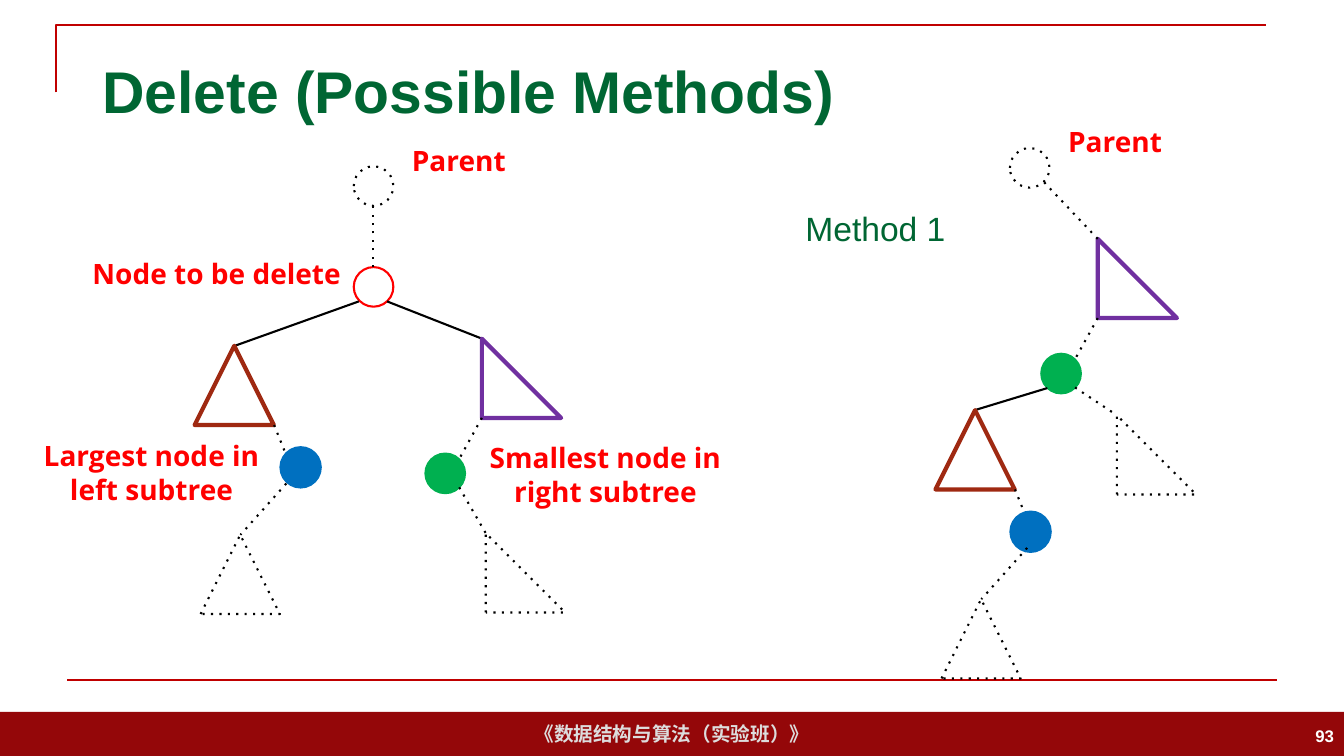
from dataclasses import dataclass

from pptx import Presentation
from pptx.dml.color import RGBColor
from pptx.enum.dml import MSO_LINE
from pptx.enum.shapes import MSO_CONNECTOR, MSO_SHAPE
from pptx.enum.text import MSO_ANCHOR, MSO_AUTO_SIZE, PP_ALIGN
from pptx.oxml import parse_xml
from pptx.oxml.ns import nsdecls, qn
from pptx.util import Pt

DOT = MSO_LINE.ROUND_DOT
STRAIGHT = MSO_CONNECTOR.STRAIGHT
RECT, OVAL = MSO_SHAPE.RECTANGLE, MSO_SHAPE.OVAL
CONE, WEDGE = MSO_SHAPE.ISOSCELES_TRIANGLE, MSO_SHAPE.RIGHT_TRIANGLE
TOP, MIDDLE = MSO_ANCHOR.TOP, MSO_ANCHOR.MIDDLE
GROW, FIXED = MSO_AUTO_SIZE.SHAPE_TO_FIT_TEXT, MSO_AUTO_SIZE.NONE
LEFT, CENTER, RIGHT = PP_ALIGN.LEFT, PP_ALIGN.CENTER, PP_ALIGN.RIGHT

HEX = {
    "bar": "940709", "rule": "C00000", "title": "006633", "foot": "DDDDDD",
    "red": "FF0000", "green": "00B050", "blue": "0070C0", "violet": "7030A0",
    "brown": "9F2911", "black": "000000", "white": "FFFFFF",
}
NODE = 28.3  # diameter of a node
TREE = 56.6  # side of a subtree triangle


@dataclass
class Style:
    line: str
    width: float = 1.5
    fill: str = ""
    dots: bool = False


@dataclass
class Label:
    text: str
    x: float
    y: float
    w: float
    h: float
    size: float = 20
    face: str = "Open Sans"
    color: str = "red"
    bold: bool = True
    align: PP_ALIGN = CENTER
    anchor: MSO_ANCHOR = TOP
    wrap: bool = True
    fit: MSO_AUTO_SIZE = GROW
    inset: bool = False


SOLID = Style("black")
GHOST = Style("black", dots=True)
DOOMED = Style("red")
GREEN = Style("green", fill="green")
BLUE = Style("blue", 2, "blue")
BROWN = Style("brown", 3)
VIOLET = Style("violet", 3)
RULE = Style("rule")

deck = Presentation()
deck.slide_width, deck.slide_height = Pt(960), Pt(540)
slide = deck.slides.add_slide(deck.slide_layouts[5])
shapes = slide.shapes


def rgb(name: str) -> RGBColor:
    return RGBColor.from_string(HEX[name])


def stroke(item, style: Style) -> None:
    item.line.color.rgb = rgb(style.line)
    item.line.width = Pt(style.width)
    if style.dots:
        item.line.dash_style = DOT
        item.element.find(".//" + qn("a:prstDash")).set("val", "dot")


def paint(item, style: Style) -> None:
    item.shadow.inherit = False
    if style.fill:
        item.fill.solid()
        item.fill.fore_color.rgb = rgb(style.fill)
    else:
        item.fill.background()
    stroke(item, style)


def draw(kind: MSO_SHAPE, x: float, y: float, w: float, h: float, style: Style):
    item = shapes.add_shape(kind, Pt(x), Pt(y), Pt(w), Pt(h))
    paint(item, style)
    return item


def node(x: float, y: float, style: Style) -> None:
    draw(OVAL, x, y, NODE, NODE, style)


def tree(kind: MSO_SHAPE, x: float, y: float, style: Style):
    return draw(kind, x, y, TREE, TREE, style)


def edge(x1: float, y1: float, x2: float, y2: float, style: Style = GHOST) -> None:
    item = shapes.add_connector(STRAIGHT, Pt(x1), Pt(y1), Pt(x2), Pt(y2))
    stroke(item, style)
    item.element.spPr.append(parse_xml(f"<a:effectLst {nsdecls('a')}/>"))


def write(item, label: Label) -> None:
    frame = item.text_frame
    frame.text = label.text
    form = {"word_wrap": label.wrap, "auto_size": label.fit,
            "vertical_anchor": label.anchor}
    if not label.inset:
        form |= {f"margin_{side}": 0 for side in ("left", "top", "right", "bottom")}
    for key, value in form.items():
        setattr(frame, key, value)
    para = frame.paragraphs[0]
    para.alignment = label.align
    font = para.runs[0].font
    for key, value in {"name": label.face, "size": Pt(label.size),
                       "bold": label.bold}.items():
        setattr(font, key, value)
    font.color.rgb = rgb(label.color)


def place(item, label: Label) -> None:
    for key, value in {"left": label.x, "top": label.y,
                       "width": label.w, "height": label.h}.items():
        setattr(item, key, Pt(value))
    write(item, label)


def note(label: Label) -> None:
    place(shapes.add_textbox(0, 0, 0, 0), label)


def parent(x: float, y: float) -> None:
    node(x, y, GHOST)
    note(Label("Parent", x + 40.6, y - 16.6, 69, 24.2, wrap=False))


def lower(x: float, y: float, shift: float) -> None:
    """Left subtree, its largest node and what hangs below it."""
    tree(CONE, x, y, BROWN)
    edge(x + 56.8, y + 56.6, x + 65.5, y + 78.2)
    node(x + shift, y + 72.7, BLUE)
    tree(CONE, x + 4.3, y + 135, GHOST)
    edge(x + 65.5, y + 98.4, x + 32.8, y + 135)


def upper(x: float, y: float, dx: float, dy: float) -> None:
    """Right subtree, its smallest node and what hangs below it."""
    node(x - 40.3, y + 82.1, GREEN)
    tree(WEDGE, x, y, VIOLET)
    edge(x, y + 56.6, x - 16.2, y + 86)
    tree(CONE, x + dx, y + dy, GHOST).adjustments[0] = 0
    edge(x - 16.2, y + 106.2, x + dx, y + dy)


# Frame, footer and title
bar = draw(RECT, 0, 508.4, 960, 31.6, Style("bar", fill="bar"))
bar.line.fill.background()
write(bar, Label("《数据结构与算法（实验班）》", 0, 0, 0, 0, 14, "Arial", "foot",
                 anchor=MIDDLE, wrap=False, fit=FIXED, inset=True))
path = shapes.build_freeform(Pt(40), Pt(66), scale=1.0)
path.add_line_segments([(Pt(40), Pt(18)), (Pt(904), Pt(18))], close=False)
paint(path.convert_to_shape(), RULE)
edge(48, 486, 912, 486, RULE)
place(shapes.title, Label("Delete (Possible Methods)", 66, 28.8, 828, 71.3, 42,
                          "Arial", "title", align=LEFT, anchor=MIDDLE,
                          fit=FIXED, inset=True))

# Tree before the deletion
node(252.7, 190.8, DOOMED)
edge(266.6, 190.8, 266.6, 146.5)
edge(256.3, 215.3, 167.8, 247, SOLID)
edge(276.5, 215.3, 344.2, 241.9, SOLID)
lower(139, 247, 61.6)
upper(344.2, 241.9, 2.8, 139)
parent(252.7, 118.8)
note(Label("Node to be delete", 60.5, 182.9, 188.6, 24.2, wrap=False))
note(Label("Largest node in left subtree", 20, 313.2, 176.4, 48.2))
note(Label("Smallest node in right subtree", 344.2, 314.6, 176.4, 48.2))

# Tree after method 1
upper(784.1, 170.6, 13.7, 126)
edge(748.1, 277.2, 696.2, 293, SOLID)
edge(784.1, 170.6, 745.9, 130.3)
lower(668.2, 293, 53.8)
parent(721.4, 105.8)
note(Label("Method 1", 554.4, 144.7, 141.8, 36.7, 24, "Arial", "title",
           bold=False, inset=True))

# Page number
note(Label("93", 744, 511.2, 216, 28.8, 12, "Arial", "white", align=RIGHT,
           anchor=MIDDLE, fit=FIXED, inset=True))

deck.save("out.pptx")
